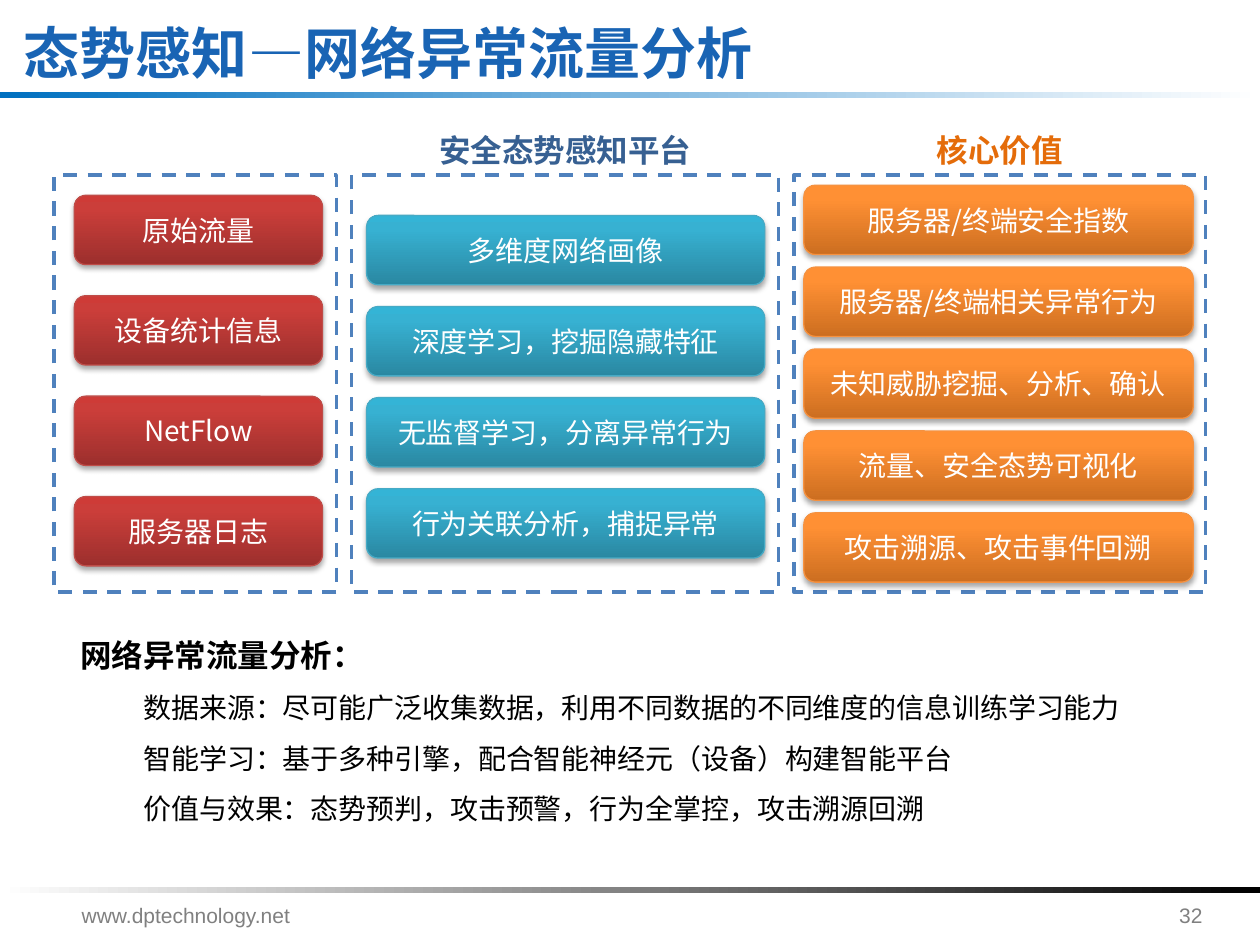
from copy import deepcopy

from lxml import etree
from pptx import Presentation
from pptx.dml.color import RGBColor
from pptx.enum.dml import MSO_LINE
from pptx.enum.shapes import MSO_SHAPE
from pptx.enum.text import MSO_ANCHOR, PP_ALIGN
from pptx.oxml.ns import qn
from pptx.util import Inches, Pt

RECTANGLE, ROUNDED = MSO_SHAPE.RECTANGLE, MSO_SHAPE.ROUNDED_RECTANGLE
LEFT, CENTER = PP_ALIGN.LEFT, PP_ALIGN.CENTER
TOP, MIDDLE = MSO_ANCHOR.TOP, MSO_ANCHOR.MIDDLE
DASH = MSO_LINE.DASH

BLACK = RGBColor(0x00, 0x00, 0x00)
WHITE = RGBColor(0xFF, 0xFF, 0xFF)
GRAY = RGBColor(0x80, 0x80, 0x80)
TITLE_BLUE = RGBColor(0x19, 0x64, 0xB4)
RULE_BLUE = RGBColor(0x00, 0x70, 0xC0)
PANEL_BLUE = RGBColor(0x4F, 0x81, 0xBD)
HEADING_BLUE = RGBColor(0x37, 0x60, 0x92)
HEADING_ORANGE = RGBColor(0xE4, 0x6C, 0x0A)
RED_LINE = RGBColor(0xBF, 0x4C, 0x48)
TEAL_LINE = RGBColor(0x46, 0xAA, 0xC5)
ORANGE_LINE = RGBColor(0xF6, 0x92, 0x40)
RED_SHADES = (RGBColor(0x9C, 0x2F, 0x2D), RGBColor(0xCB, 0x3E, 0x3A), RGBColor(0xCE, 0x3B, 0x37))
TEAL_SHADES = (RGBColor(0x2A, 0x88, 0xA2), RGBColor(0x37, 0xB1, 0xD2), RGBColor(0x34, 0xB4, 0xD6))
ORANGE_SHADES = (RGBColor(0xCC, 0x6E, 0x20), RGBColor(0xFF, 0x90, 0x34), RGBColor(0xFF, 0x91, 0x36))

CJK_FONT = "Noto Sans CJK SC"
SLIDE_WIDTH, SLIDE_HEIGHT = 10, 7.5
PANEL_TOP, PANEL_HEIGHT = 1.39, 3.31
HEADING_TOP, HEADING_HEIGHT = 0.99, 0.4
BUTTON_HEIGHT = 0.55

COLUMNS = [
    dict(panel=(0.43, 2.24), button=(0.59, 1.97), first=1.55, step=0.797,
         shades=RED_SHADES, line=RED_LINE, heading=None,
         labels=["原始流量", "设备统计信息", "NetFlow", "服务器日志"]),
    dict(panel=(2.79, 3.39), button=(2.91, 3.16), first=1.71, step=0.723,
         shades=TEAL_SHADES, line=TEAL_LINE, heading=("安全态势感知平台", 2.24, HEADING_BLUE),
         labels=["多维度网络画像", "深度学习，挖掘隐藏特征",
                 "无监督学习，分离异常行为", "行为关联分析，捕捉异常"]),
    dict(panel=(6.3, 3.27), button=(6.38, 3.09), first=1.47, step=0.65,
         shades=ORANGE_SHADES, line=ORANGE_LINE, heading=("核心价值", 1.21, HEADING_ORANGE),
         labels=["服务器/终端安全指数", "服务器/终端相关异常行为", "未知威胁挖掘、分析、确认",
                 "流量、安全态势可视化", "攻击溯源、攻击事件回溯"]),
]

SUMMARY_HEADING = "网络异常流量分析："
SUMMARY_POINTS = [
    "数据来源：尽可能广泛收集数据，利用不同数据的不同维度的信息训练学习能力",
    "智能学习：基于多种引擎，配合智能神经元（设备）构建智能平台",
    "价值与效果：态势预判，攻击预警，行为全掌控，攻击溯源回溯",
]


def box(left, top, width, height):
    return [Inches(value) for value in (left, top, width, height)]


def write(paragraph, text, size=16, color=BLACK, bold=False, font=CJK_FONT,
          align=LEFT, spacing=None, level=0):
    if level:
        paragraph.level = level
        properties = paragraph._p.get_or_add_pPr()
        properties.set("marL", str(Inches(0.5 * level)))
        properties.set("indent", "0")
    paragraph.alignment = align
    if spacing:
        paragraph.line_spacing = spacing
    run = paragraph.add_run()
    run.text = text
    run.font.size = Pt(size)
    run.font.bold = bold
    run.font.color.rgb = color
    run.font.name = font
    etree.SubElement(run._r.get_or_add_rPr(), qn("a:ea"), typeface=font)


def add_text(slide, bounds, text, wrap=True, **text_format):
    frame = slide.shapes.add_textbox(*box(*bounds)).text_frame
    frame.word_wrap = wrap
    write(frame.paragraphs[0], text, **text_format)
    return frame


def fill_gradient(shape, stops, angle):
    shape.fill.gradient()
    shape.fill.gradient_angle = angle
    stop_list = shape._element.spPr.find(".//" + qn("a:gsLst"))
    while len(stop_list) < len(stops):
        stop_list.append(deepcopy(stop_list[0]))
    for stop, (position, color) in zip(shape.fill.gradient_stops, stops):
        stop.color.rgb = color
        stop.position = position


def add_shadow(shape):
    effects = shape._element.spPr.find(qn("a:effectLst"))
    shadow = etree.SubElement(effects, qn("a:outerShdw"), blurRad="40000", dist="23000",
                              dir="5400000", rotWithShape="0")
    color = etree.SubElement(shadow, qn("a:srgbClr"), val="000000")
    etree.SubElement(color, qn("a:alpha"), val="35000")


def add_rule(slide, top, color, rotation=0):
    shape = slide.shapes.add_shape(RECTANGLE, *box(0, top, SLIDE_WIDTH, 0.05))
    shape.shadow.inherit = False
    shape.line.fill.background()
    fill_gradient(shape, [(0, color), (1, WHITE)], 0)
    shape.rotation = rotation


def add_panel(slide, left, width):
    shape = slide.shapes.add_shape(RECTANGLE, *box(left, PANEL_TOP, width, PANEL_HEIGHT))
    shape.shadow.inherit = False
    shape.fill.solid()
    shape.fill.fore_color.rgb = WHITE
    shape.line.color.rgb = PANEL_BLUE
    shape.line.width = Pt(2)
    shape.line.dash_style = DASH


def add_button(slide, bounds, text, shades, line):
    shape = slide.shapes.add_shape(ROUNDED, *box(*bounds))
    shape.shadow.inherit = False
    fill_gradient(shape, list(zip((0, 0.8, 1), shades)), 90)
    shape.line.color.rgb = line
    shape.line.width = Pt(0.75)
    add_shadow(shape)
    shape.text_frame.vertical_anchor = MIDDLE
    write(shape.text_frame.paragraphs[0], text, color=WHITE, align=CENTER)


def add_column(slide, column):
    panel_left, panel_width = column["panel"]
    add_panel(slide, panel_left, panel_width)
    if column["heading"]:
        text, width, color = column["heading"]
        left = panel_left + (panel_width - width) / 2
        add_text(slide, (left, HEADING_TOP, width, HEADING_HEIGHT), text,
                 wrap=False, size=18, color=color, bold=True, align=CENTER)
    left, width = column["button"]
    for row, label in enumerate(column["labels"]):
        top = column["first"] + row * column["step"]
        add_button(slide, (left, top, width, BUTTON_HEIGHT), label,
                   column["shades"], column["line"])


def add_title(slide, text):
    title = slide.shapes.title
    title.left, title.top, title.width, title.height = box(0.09, 0.1, 9.71, 0.62)
    title.text_frame.vertical_anchor = MIDDLE
    write(title.text_frame.paragraphs[0], text, size=32, color=TITLE_BLUE, bold=True)


def add_summary(slide):
    frame = add_text(slide, (0.54, 4.85, 8.92, 1.77), SUMMARY_HEADING,
                     size=18, bold=True, spacing=1.5)
    frame.vertical_anchor = TOP
    for point in SUMMARY_POINTS:
        write(frame.add_paragraph(), point, spacing=1.5, level=1)


def add_footer(slide):
    for left, width, text in ((0.55, 1.95, "www.dptechnology.net"), (9.26, 0.59, "32")):
        add_text(slide, (left, 7.11, width, 0.39), text, size=12, color=GRAY, font="Arial")


def main():
    presentation = Presentation()
    presentation.slide_width = Inches(SLIDE_WIDTH)
    presentation.slide_height = Inches(SLIDE_HEIGHT)
    slide = presentation.slides.add_slide(presentation.slide_layouts[5])
    add_rule(slide, 0.73, RULE_BLUE)
    add_rule(slide, 7.04, BLACK, rotation=180)
    add_footer(slide)
    add_summary(slide)
    add_title(slide, "态势感知—网络异常流量分析")
    for column in COLUMNS:
        add_column(slide, column)
    presentation.save("out.pptx")


if __name__ == "__main__":
    main()
